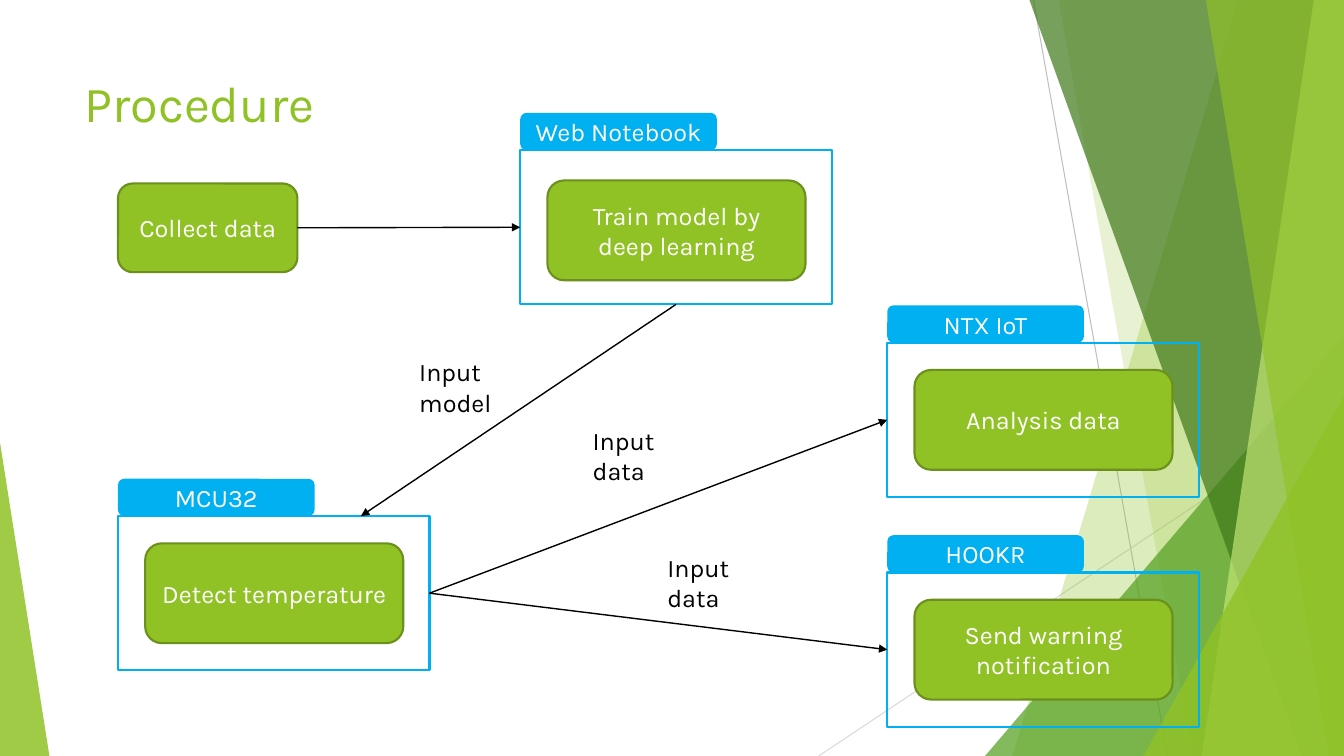
from pptx import Presentation
from pptx.dml.color import RGBColor
from pptx.enum import shapes, text
from pptx.oxml import parse_xml
from pptx.oxml.ns import nsdecls, qn
from pptx.util import Inches, Pt

FONT = "Karla"
GREEN, EDGE, BLUE, WHITE, BLACK = "90C226", "6B901C", "00B0F0", "FFFFFF", "000000"
RIGHT, BASE = 13.33, 7.5
KIND = shapes.MSO_SHAPE
TOP, LEFT, BOTTOM, SIDE = range(4)


def color(code):
    return RGBColor.from_string(code)


def write(shape, words, size=18, ink=BLACK, center=False):
    frame = shape.text_frame
    frame.word_wrap = True
    frame.vertical_anchor = text.MSO_ANCHOR.MIDDLE if center else text.MSO_ANCHOR.TOP
    para = frame.paragraphs[0]
    para.alignment = text.PP_ALIGN.CENTER if center else text.PP_ALIGN.LEFT
    run = para.add_run()
    run.text = words
    run.font.name, run.font.size = FONT, Pt(size)
    run.font.color.rgb = color(ink)


def paint(shape, fill=None, line=None, alpha=None):
    """Set fill, outline and opacity in percent."""
    shape.shadow.inherit = False
    if fill:
        shape.fill.solid()
        shape.fill.fore_color.rgb = color(fill)
        if alpha:
            tint = shape.fill._xPr.find(qn("a:solidFill"))[0]
            tint.append(parse_xml(f'<a:alpha {nsdecls("a")} val="{alpha * 1000}"/>'))
    else:
        shape.fill.background()
    if line:
        shape.line.color.rgb = color(line)
        shape.line.width = Pt(1.5)
    else:
        shape.line.fill.background()


def block(slide, kind, box, **look):
    shape = slide.shapes.add_shape(kind, *map(Inches, box))
    paint(shape, **look)
    return shape


def label(slide, box, words, **style):
    write(slide.shapes.add_textbox(*map(Inches, box)), words, **style)


def rule(slide, start, end, ink, width):
    line = slide.shapes.add_connector(
        shapes.MSO_CONNECTOR.STRAIGHT, *map(Inches, (*start, *end)))
    line.line.color.rgb = color(ink)
    line.line.width = Pt(width)
    line._element.spPr.append(parse_xml(f'<a:effectLst {nsdecls("a")}/>'))
    return line


def arrow(slide, source, site, target, end):
    """Join a side of source to a side of target, or to a point if target is None."""
    line = rule(slide, (0, 0), end if target is None else (0, 0), BLACK, 1)
    line.begin_connect(source, site)
    if target is not None:
        line.end_connect(target, end)
    line.line._get_or_add_ln().append(
        parse_xml(f'<a:tailEnd {nsdecls("a")} type="triangle"/>'))


def shard(slide, crown, foot, fill, alpha, edge=RIGHT):
    """Fill from a slanted left side to the slide's right edge."""
    points = [(crown, 0), (edge, 0), (edge, BASE), (foot, BASE)]
    spots = [(Inches(x), Inches(y)) for x, y in points]
    path = slide.shapes.build_freeform(*spots[0], scale=1.0)
    path.add_line_segments(spots[1:], close=True)
    paint(path.convert_to_shape(), fill, alpha=alpha)


def wedge(slide, left, top, width, peak, fill, alpha):
    shape = block(slide, KIND.ISOSCELES_TRIANGLE, (left, top, width, BASE - top),
                  fill=fill, alpha=alpha)
    shape.adjustments[0] = peak


def decor(slide):
    rule(slide, (10.25, 0), (11.58, BASE), "BFBFBF", 0.75)
    rule(slide, (RIGHT, 4.03), (8.12, BASE), "D9D9D9", 0.75)
    shard(slide, 12.28, 10.04, GREEN, 30)
    shard(slide, 10.5, 11.83, GREEN, 20)
    wedge(slide, 9.77, 3.33, 3.56, 1, "54A021", 72)
    shard(slide, 10.21, 12.91, "3F7819", 70)
    shard(slide, 13.03, 11.92, "C0E474", 70)
    shard(slide, 11.96, 13.18, GREEN, 65)
    wedge(slide, 11.34, 3.93, 1.99, 1, GREEN, 80)
    wedge(slide, 0, 4.39, 0.49, 0, GREEN, 85)


def step(slide, box, words):
    shape = block(slide, KIND.ROUNDED_RECTANGLE, box, fill=GREEN, line=EDGE)
    write(shape, words, ink=WHITE, center=True)
    return shape


def stage(slide, left, top, name, words, drop=0.27):
    """Place a framed step with its name tag on top; return the frame."""
    frame = block(slide, KIND.RECTANGLE, (left, top, 3.09, 1.53), line=BLUE)
    tag = block(slide, KIND.ROUNDED_RECTANGLE, (left, top - 0.37, 1.95, 0.37), fill=BLUE)
    write(tag, name, ink=WHITE, center=True)
    step(slide, (left + 0.27, top + drop, 2.56, 0.99), words)
    return frame


def flow(slide):
    collect = step(slide, (1.17, 1.82, 1.78, 0.88), "Collect data")
    train = stage(slide, 5.16, 1.49, "Web Notebook", "Train model by deep learning", 0.3)
    detect = stage(slide, 1.17, 5.12, "MCU32", "Detect temperature")
    study = stage(slide, 8.8, 3.4, "NTX IoT", "Analysis data")
    warn = stage(slide, 8.8, 5.68, "HOOKR", "Send warning notification")
    arrow(slide, collect, SIDE, train, LEFT)
    arrow(slide, train, BOTTOM, None, (3.58, 5.12))
    for goal in (study, warn):
        arrow(slide, detect, SIDE, goal, LEFT)
    for left, top, words in ((4.06, 3.49, "Input model"),
                             (5.78, 4.17, "Input data"),
                             (6.52, 5.43, "Input data")):
        label(slide, (left, top, 0.97, 0.71), words)


def main():
    deck = Presentation()
    deck.slide_width, deck.slide_height = Inches(RIGHT), Inches(BASE)
    slide = deck.slides.add_slide(deck.slide_layouts[6])
    decor(slide)
    label(slide, (0.74, 0.67, 9.4, 1.44), "Procedure", size=36, ink=GREEN)
    flow(slide)
    deck.save("out.pptx")


if __name__ == "__main__":
    main()
